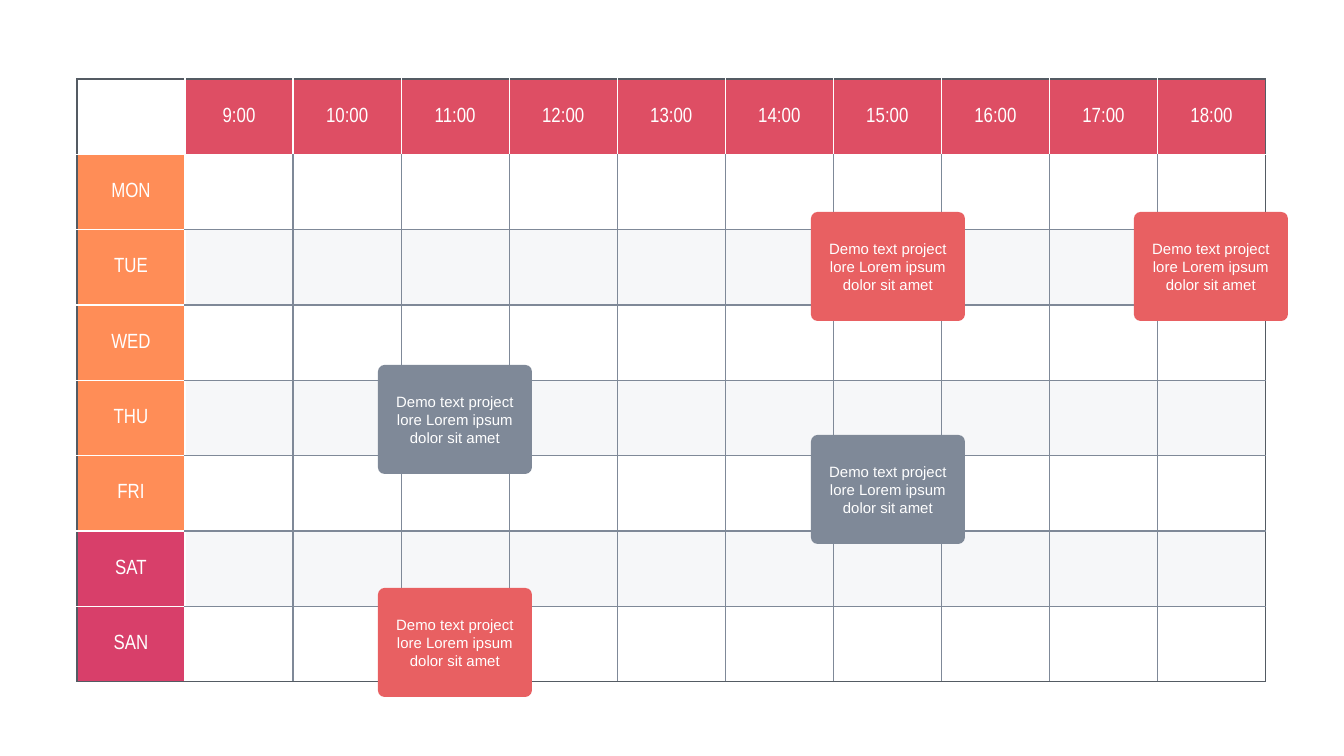
from lxml import etree
from pptx import Presentation
from pptx import util as u
from pptx.dml.color import RGBColor
from pptx.enum import shapes, text
from pptx.oxml.ns import qn

# Content
HOURS = [f"{hour}:00" for hour in range(9, 19)]
DAYS = ["MON", "TUE", "WED", "THU", "FRI", "SAT", "SAN"]
WEEKEND = ("SAT", "SAN")
NOTE = "Demo text project lore Lorem ipsum dolor sit amet"

WHITE = RGBColor(0xFF, 0xFF, 0xFF)
GREY = RGBColor(0x7F, 0x89, 0x98)
DARK = RGBColor(0x54, 0x5B, 0x63)
PALE = RGBColor(0xEE, 0xF0, 0xF4)
ROSE = RGBColor(0xDE, 0x4E, 0x64)
ORANGE = RGBColor(0xFF, 0x8D, 0x57)
PINK = RGBColor(0xD8, 0x3F, 0x6A)
CORAL = RGBColor(0xE8, 0x60, 0x62)

# Cards: left, top, colour
CARDS = [
    (811, 212, CORAL),
    (378, 365, GREY),
    (811, 435, GREY),
    (378, 588, CORAL),
    (1134, 212, CORAL),
]

# Lengths in px
WIDE, HIGH = 1344, 756
LEFT, TOP, GRID_W, GRID_H = 77, 79, 1189, 603
CARD_W, CARD_H = 154, 109
COLS, ROWS = len(HOURS) + 1, len(DAYS) + 1


def px(n):
    return u.Emu(round(n * u.Inches(10) / WIDE))


def write(frame, words, font, size):
    frame.text = words
    para = frame.paragraphs[0]
    para.alignment = text.PP_ALIGN.CENTER
    run = para.runs[0].font
    run.name, run.size, run.color.rgb = font, u.Pt(size), WHITE


def edge(pos, last, lane):
    """Colour of grid line number pos, where it passes row or column lane."""
    if pos in (0, last):
        return DARK
    return WHITE if pos == 1 or lane == 0 else GREY


def border(cell, row, col):
    sides = {
        "lnL": edge(col, COLS, row),
        "lnR": edge(col + 1, COLS, row),
        "lnT": edge(row, ROWS, col),
        "lnB": edge(row + 1, ROWS, col),
    }
    props = cell._tc.get_or_add_tcPr()
    for side, color in sides.items():
        line = etree.SubElement(props, qn(f"a:{side}"), w=str(u.Pt(0.75)))
        solid = etree.SubElement(line, qn("a:solidFill"))
        etree.SubElement(solid, qn("a:srgbClr"), val=str(color))


def paint(cell, color, alpha=100):
    cell.fill.solid()
    cell.fill.fore_color.rgb = color
    if alpha < 100:
        tint = cell._tc.tcPr.find(f"{qn('a:solidFill')}/{qn('a:srgbClr')}")
        etree.SubElement(tint, qn("a:alpha"), val=str(alpha * 1000))


def label(cell, words, color):
    paint(cell, color)
    cell.vertical_anchor = text.MSO_ANCHOR.MIDDLE
    cell.margin_left = cell.margin_right = px(5)
    cell.margin_top = cell.margin_bottom = px(3)
    write(cell.text_frame, words, "Arial Narrow", 11)


deck = Presentation()
deck.slide_width, deck.slide_height = px(WIDE), px(HIGH)
slide = deck.slides.add_slide(deck.slide_layouts[6])

# Timetable
table = slide.shapes.add_table(
    ROWS, COLS, px(LEFT), px(TOP), px(GRID_W), px(GRID_H)).table
table.first_row = table.horz_banding = False
for column in table.columns:
    column.width = px(GRID_W / COLS)
for line in table.rows:
    line.height = px(GRID_H / ROWS)

for row in range(ROWS):
    for col in range(COLS):
        cell = table.cell(row, col)
        border(cell, row, col)
        if row == 0 and col > 0:
            label(cell, HOURS[col - 1], ROSE)
        elif col == 0 and row > 0:
            day = DAYS[row - 1]
            label(cell, day, PINK if day in WEEKEND else ORANGE)
        elif row > 0 and row % 2 == 0:
            paint(cell, PALE, 50)
        else:
            cell.fill.background()

# Event cards
for left, top, color in CARDS:
    card = slide.shapes.add_shape(
        shapes.MSO_SHAPE.ROUNDED_RECTANGLE,
        px(left), px(top), px(CARD_W), px(CARD_H))
    card.adjustments[0] = 0.06
    card.shadow.inherit = False
    card.fill.solid()
    card.fill.fore_color.rgb = color
    card.line.fill.background()
    frame = card.text_frame
    frame.word_wrap = True
    frame.vertical_anchor = text.MSO_ANCHOR.MIDDLE
    frame.margin_left = frame.margin_right = px(3)
    frame.margin_top = frame.margin_bottom = px(3)
    write(frame, NOTE, "Arial", 8)

deck.save("out.pptx")
